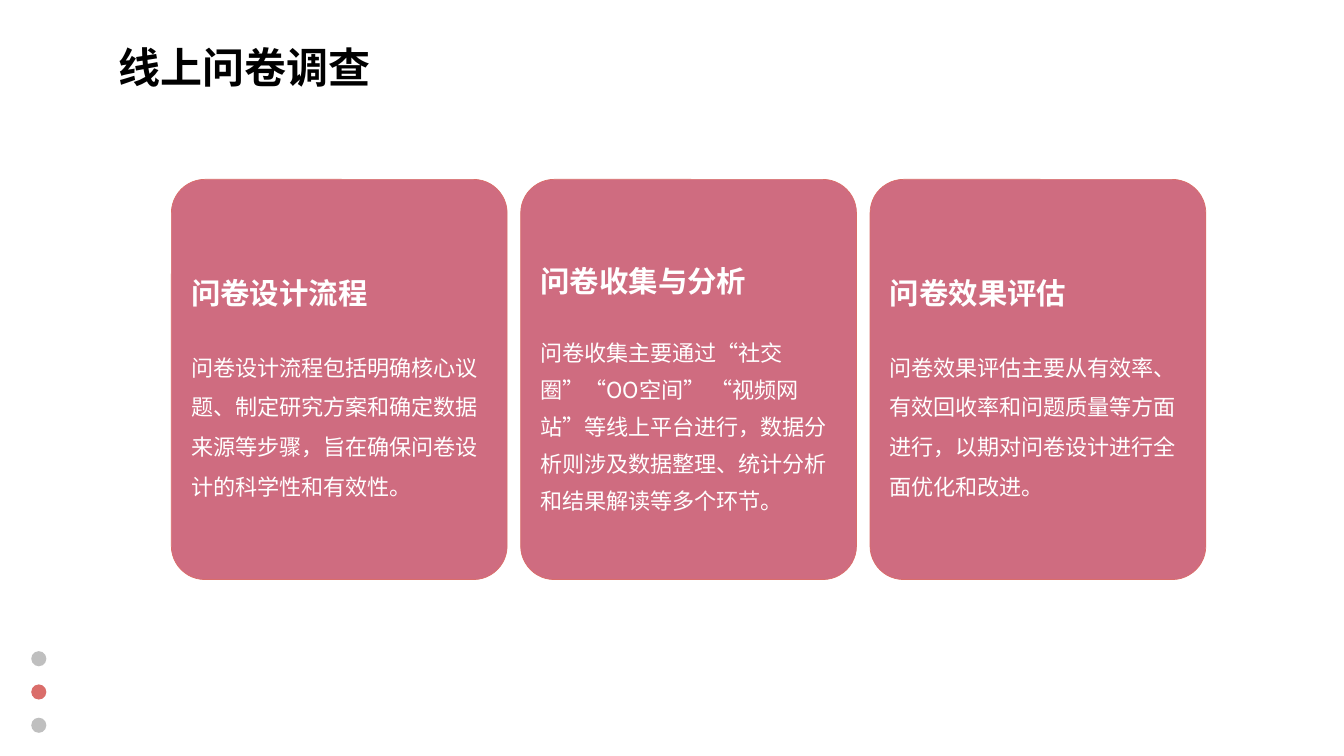
from pptx import Presentation
from pptx.dml.color import RGBColor
from pptx.enum.shapes import MSO_SHAPE
from pptx.enum.text import MSO_ANCHOR, PP_ALIGN
from pptx.oxml.ns import qn
from pptx.util import Inches, Pt
from lxml import etree

CARDS = [
    ("问卷设计流程",
     "问卷设计流程包括明确核心议题、制定研究方案和确定数据来源等步骤，旨在确保问卷设计的科学性和有效性。",
     0.85, 1.5),
    ("问卷收集与分析",
     "问卷收集主要通过“社交圈”“OO空间” “视频网站”等线上平台进行，数据分析则涉及数据整理、统计分析和结果解读等多个环节。",
     0.73, 1.4),
    ("问卷效果评估",
     "问卷效果评估主要从有效率、有效回收率和问题质量等方面进行，以期对问卷设计进行全面优化和改进。",
     0.85, 1.5),
]


def rgb(value):
    return RGBColor.from_string(value)


class Deck:
    """Holds the style and the current slide."""

    font = "Noto Sans CJK SC"
    rose, coral, grey = "CF6C80", "DA6D6A", "BFBFBF"
    white, black = "FFFFFF", "000000"

    def __init__(self, prs):
        self.s = prs.slides.add_slide(prs.slide_layouts[6])

    def run(self, p, text, size, color, bold=False):
        r = p.add_run()
        r.text = text
        r.font.size = Pt(size)
        r.font.bold = bold
        r.font.name = self.font
        r.font.color.rgb = rgb(color)
        etree.SubElement(r.font._element, qn("a:ea")).set("typeface", self.font)

    def title(self, text):
        sp = self.s.shapes.add_textbox(Inches(1.08), Inches(0.11), Inches(10.25), Inches(0.86))
        tf = sp.text_frame
        tf.word_wrap = True
        tf.vertical_anchor = MSO_ANCHOR.MIDDLE
        tf.margin_top = Inches(0.3)
        self.run(tf.paragraphs[0], text, 30, self.black, True)

    def card(self, left, heading, body, inset, spacing):
        sp = self.s.shapes.add_shape(MSO_SHAPE.ROUNDED_RECTANGLE, Inches(left), Inches(1.78),
                                     Inches(3.33), Inches(3.97))
        sp.adjustments[0] = 0.1
        sp.shadow.inherit = False
        sp.fill.solid()
        sp.fill.fore_color.rgb = rgb(self.rose)
        sp.line.color.rgb = rgb(self.coral)
        sp.line.width = Pt(0.5)
        tf = sp.text_frame
        tf.word_wrap = True
        tf.vertical_anchor = MSO_ANCHOR.TOP
        tf.margin_top = Inches(inset)
        p = tf.paragraphs[0]
        p.alignment = PP_ALIGN.LEFT
        p.space_after = Pt(22)
        self.run(p, heading, 21, self.white, True)
        p = tf.add_paragraph()
        p.alignment = PP_ALIGN.LEFT
        p.line_spacing = spacing
        self.run(p, body, 15.75, self.white)

    def dots(self, count, active):
        group = self.s.shapes.add_group_shape()
        for i in range(count):
            sp = group.shapes.add_shape(MSO_SHAPE.OVAL, Inches(0.31), Inches(6.46 + 0.33 * i),
                                        Inches(0.15), Inches(0.15))
            sp.shadow.inherit = False
            sp.fill.solid()
            sp.fill.fore_color.rgb = rgb(self.coral if i == active else self.grey)
            sp.line.fill.background()


def main():
    prs = Presentation()
    prs.slide_width = Inches(13.33)
    prs.slide_height = Inches(7.5)
    deck = Deck(prs)
    deck.dots(3, active=1)
    deck.title("线上问卷调查")
    for i, card in enumerate(CARDS):
        deck.card(1.7 + 3.465 * i, *card)
    prs.save("out.pptx")


if __name__ == "__main__":
    main()
